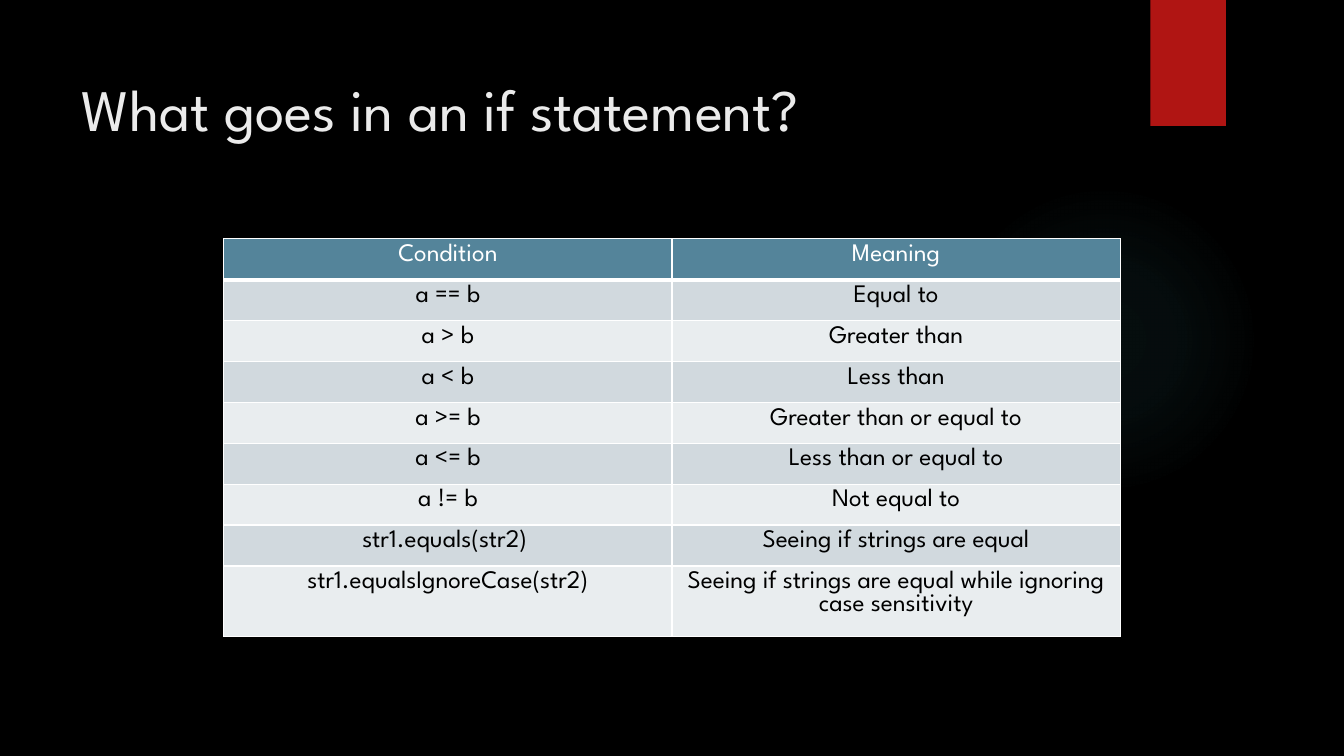
"""Build a slide that lists the conditions used in an if statement."""
import lxml.etree
import pptx
import pptx.dml.color
import pptx.enum.shapes
import pptx.enum.text
import pptx.oxml
import pptx.oxml.ns
import pptx.util

COLORS = {
    "background": "000000", "glow": "50B9C1", "ribbon": "B01513",
    "title": "EBEBEB", "header": "54849A", "odd": "D1D9DE",
    "even": "E9EDEF", "light": "FFFFFF", "dark": "000000",
}
FONT = "League Spartan"
CONDITIONS = [
    ("Condition", "Meaning"),
    ("a == b", "Equal to"),
    ("a > b", "Greater than"),
    ("a < b", "Less than"),
    ("a >= b", "Greater than or equal to"),
    ("a <= b", "Less than or equal to"),
    ("a != b", "Not equal to"),
    ("str1.equals(str2) ", "Seeing if strings are equal"),
    ("str1.equalsIgnoreCase(str2)",
     "Seeing if strings are equal while ignoring case sensitivity"),
]
NAMESPACE = pptx.oxml.ns.nsdecls("a")
INCH = pptx.util.Inches


def rgb(role):
    return pptx.dml.color.RGBColor.from_string(COLORS[role])


def style(paragraph, size, role):
    paragraph.font.name = FONT
    paragraph.font.size = pptx.util.Pt(size)
    paragraph.font.color.rgb = rgb(role)


deck = pptx.Presentation()
deck.slide_width, deck.slide_height = INCH(13.33), INCH(7.5)
slide = deck.slides.add_slide(deck.slide_layouts[6])
slide.background.fill.solid()
slide.background.fill.fore_color.rgb = rgb("background")

glow = slide.shapes.add_shape(
    pptx.enum.shapes.MSO_SHAPE.OVAL, INCH(9.41), INCH(1.83), INCH(3.08), INCH(3.08))
glow.shadow.inherit = False
glow.line.fill.background()
stops = "".join(
    f'<a:gs pos="{position * 1000}"><a:srgbClr val="{COLORS["glow"]}">'
    f'<a:alpha val="{opacity * 1000}"/></a:srgbClr></a:gs>'
    for position, opacity in [(0, 7), (36, 6), (69, 0)])
glow_fill = pptx.oxml.parse_xml(
    f'<a:gradFill {NAMESPACE}><a:gsLst>{stops}</a:gsLst><a:path path="circle">'
    '<a:fillToRect l="50000" t="50000" r="50000" b="50000"/></a:path></a:gradFill>')
glow.element.spPr.find(pptx.oxml.ns.qn("a:prstGeom")).addnext(glow_fill)

ribbon = slide.shapes.add_shape(
    pptx.enum.shapes.MSO_SHAPE.RECTANGLE, INCH(11.41), 0, INCH(0.75), INCH(1.25))
ribbon.shadow.inherit = False
ribbon.fill.solid()
ribbon.fill.fore_color.rgb = rgb("ribbon")
ribbon.line.fill.background()

title = slide.shapes.add_textbox(INCH(0.71), INCH(0.5), INCH(10.29), INCH(1.53)).text_frame
title.word_wrap = True
title.margin_top = INCH(0.22)
title.text = "What goes in an if statement?"
style(title.paragraphs[0], 42, "title")

table = slide.shapes.add_table(
    len(CONDITIONS), 2, INCH(2.22), INCH(2.37), INCH(8.89), INCH(3.65)).table
for row, texts in enumerate(CONDITIONS):
    band = "header" if row == 0 else "odd" if row % 2 else "even"
    for column, text in enumerate(texts):
        cell = table.cell(row, column)
        cell.text = text
        paragraph = cell.text_frame.paragraphs[0]
        paragraph.alignment = pptx.enum.text.PP_ALIGN.CENTER
        style(paragraph, 18, "dark" if row else "light")
        cell.fill.solid()
        cell.fill.fore_color.rgb = rgb(band)
        properties = cell._tc.get_or_add_tcPr()
        for index, side in enumerate(["lnL", "lnR", "lnT", "lnB"]):
            width = pptx.util.Pt(3 if row == 0 and side == "lnB" else 1)
            properties.insert(index, pptx.oxml.parse_xml(
                f'<a:{side} {NAMESPACE} w="{width}"><a:solidFill>'
                f'<a:srgbClr val="{COLORS["light"]}"/></a:solidFill></a:{side}>'))

deck.save("out.pptx")
